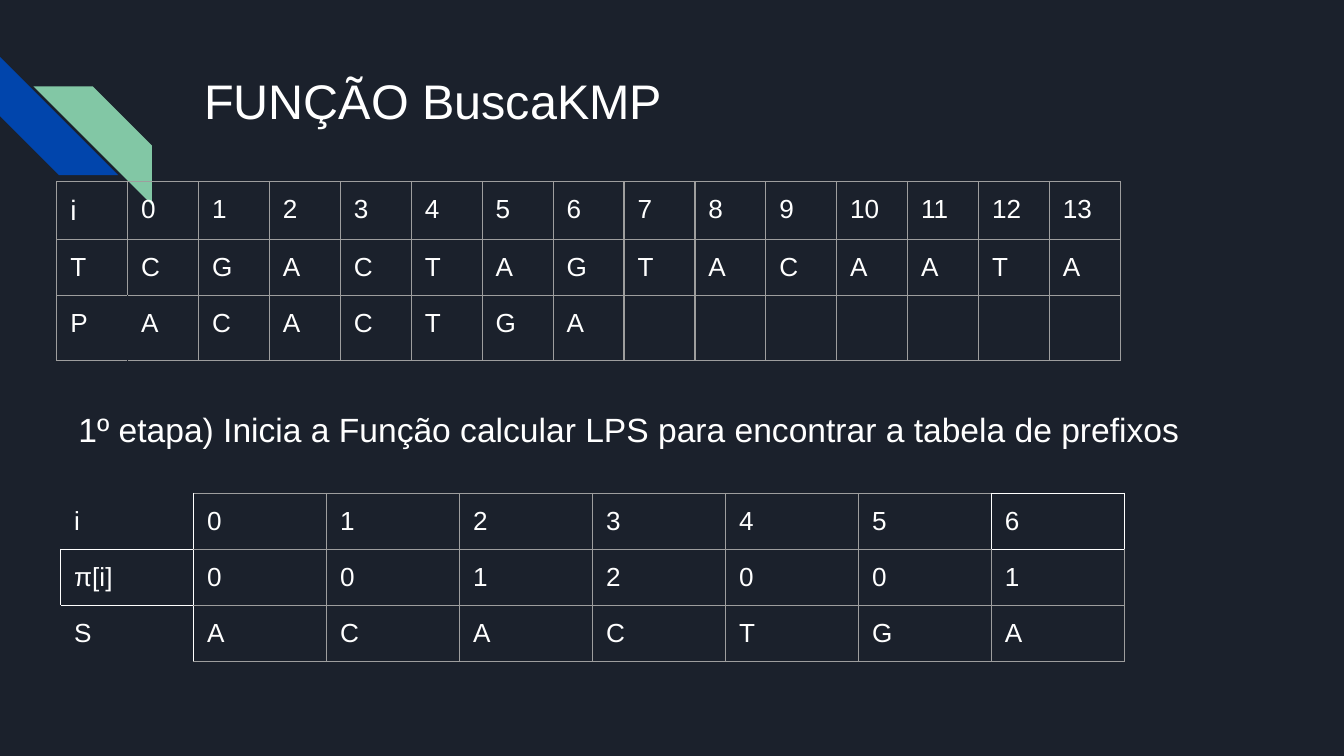
from pptx import Presentation
from pptx.dml.color import RGBColor
from pptx.enum.shapes import MSO_SHAPE
from pptx.enum.text import MSO_ANCHOR
from pptx.oxml.ns import qn
from pptx.util import Inches, Pt
from lxml import etree

STRIPE = MSO_SHAPE.DIAGONAL_STRIPE
TOP = MSO_ANCHOR.TOP

FONT = "Arial"
NIGHT, WHITE, GREY = "1B212C", "FFFFFF", "9E9E9E"
BLUE, GREEN = "0145AC", "82C7A5"
INSET, CELL_BOTTOM = Inches(0.1), Inches(0.08)
SLIDE_W = Inches(10)
SLIDE_H = SLIDE_W * 9 // 16

# Index rows, text, pattern and prefix table
TEXT = "CGACTAGTACAATA"
PATTERN = "ACACTGA"
PREFIX_LENGTHS = [0, 0, 1, 2, 0, 0, 1]
SEARCH_ROWS = [
    ["i", *range(len(TEXT))],
    ["T", *TEXT],
    ["P", *PATTERN, *[""] * (len(TEXT) - len(PATTERN))],
]
PREFIX_ROWS = [
    ["i", *range(len(PATTERN))],
    ["π[i]", *PREFIX_LENGTHS],
    ["S", *PATTERN],
]

# Borders that differ from grey, by (row, column): left, right, top, bottom
SEARCH_BORDERS = {
    (2, 0): (GREY, NIGHT, GREY, GREY),
    (2, 1): (NIGHT, GREY, GREY, GREY),
}
PREFIX_BORDERS = {
    (0, 0): (NIGHT, WHITE, NIGHT, WHITE),
    (1, 0): (WHITE,) * 4,
    (2, 0): (NIGHT, WHITE, WHITE, NIGHT),
    **{(row, 1): (WHITE, GREY, GREY, GREY) for row in range(3)},
    (0, 6): (GREY, WHITE, GREY, GREY),
    (0, 7): (WHITE,) * 4,
    (1, 7): (GREY, GREY, WHITE, GREY),
}


def color(hex_string):
    return RGBColor.from_string(hex_string)


def area(left, top, width, height):
    """Turn percentages of the slide into a box."""
    return (int(SLIDE_W * left / 100), int(SLIDE_H * top / 100),
            int(SLIDE_W * width / 100), int(SLIDE_H * height / 100))


def write(frame, text, size):
    frame.text = text
    for run in frame.paragraphs[0].runs:
        run.font.size = Pt(size)
        run.font.name = FONT
        run.font.color.rgb = color(WHITE)


def add_emblem(slide, box):
    left, top, width, height = box
    side = int(height * 0.8)
    for dx, dy, fill in ((0, 0, BLUE), (0.22, 0.2, GREEN)):
        stripe = slide.shapes.add_shape(
            STRIPE, left + int(width * dx), top + int(height * dy), side, side)
        stripe.shadow.inherit = False
        stripe.adjustments[0] = 0.5
        stripe.fill.solid()
        stripe.fill.fore_color.rgb = color(fill)
        stripe.line.fill.background()
        if fill == BLUE:
            stripe.rotation = 270
        else:
            stripe.element.spPr.find(qn("a:xfrm")).set("flipH", "1")


def add_text(slide, box, text, size):
    frame = slide.shapes.add_textbox(*box).text_frame
    frame.word_wrap = True
    frame.vertical_anchor = TOP
    frame.margin_left = frame.margin_right = INSET
    frame.margin_top = frame.margin_bottom = INSET
    write(frame, text, size)


def set_borders(cell, colors):
    properties = cell._tc.get_or_add_tcPr()
    for side, hex_string in zip("LRTB", colors):
        line = etree.SubElement(properties, qn(f"a:ln{side}"), w=str(Pt(0.75)))
        fill = etree.SubElement(line, qn("a:solidFill"))
        etree.SubElement(fill, qn("a:srgbClr"), val=hex_string)


def add_grid(slide, box, rows, row_shares, borders, corner_size=14):
    """Equal columns; rows split the box height by their shares."""
    height = box[3]
    table = slide.shapes.add_table(len(rows), len(rows[0]), *box).table
    table.first_row = table.horz_banding = False
    for column in table.columns:
        column.width = box[2] // len(rows[0])
    for r, values in enumerate(rows):
        table.rows[r].height = int(height * row_shares[r] / sum(row_shares))
        for c, value in enumerate(values):
            cell = table.cell(r, c)
            cell.margin_left = cell.margin_right = cell.margin_top = INSET
            cell.margin_bottom = CELL_BOTTOM
            set_borders(cell, borders.get((r, c), (GREY,) * 4))
            cell.fill.background()
            size = corner_size if (r, c) == (0, 0) else 14
            write(cell.text_frame, str(value), size)


def main():
    deck = Presentation()
    deck.slide_width, deck.slide_height = SLIDE_W, SLIDE_H
    slide = deck.slides.add_slide(deck.slide_layouts[6])
    slide.background.fill.solid()
    slide.background.fill.fore_color.rgb = color(NIGHT)

    # Heading
    add_emblem(slide, area(0, 7.5, 11.35, 19.6))
    add_text(slide, area(14.2, 7.65, 77, 17.8), "FUNÇÃO BuscaKMP", 26)

    # Text and pattern
    add_grid(slide, area(4.23, 24, 79.15, 23.65), SEARCH_ROWS,
             (43, 42, 48), SEARCH_BORDERS, corner_size=15)

    # Step and its prefix table
    add_text(slide, area(4.85, 52.35, 87.9, 8.2),
             "1º etapa) Inicia a Função calcular LPS para encontrar "
             "a tabela de prefixos", 18)
    add_grid(slide, area(4.52, 65.27, 79.15, 22.22), PREFIX_ROWS,
             (1, 1, 1), PREFIX_BORDERS)

    deck.save("out.pptx")


if __name__ == "__main__":
    main()
